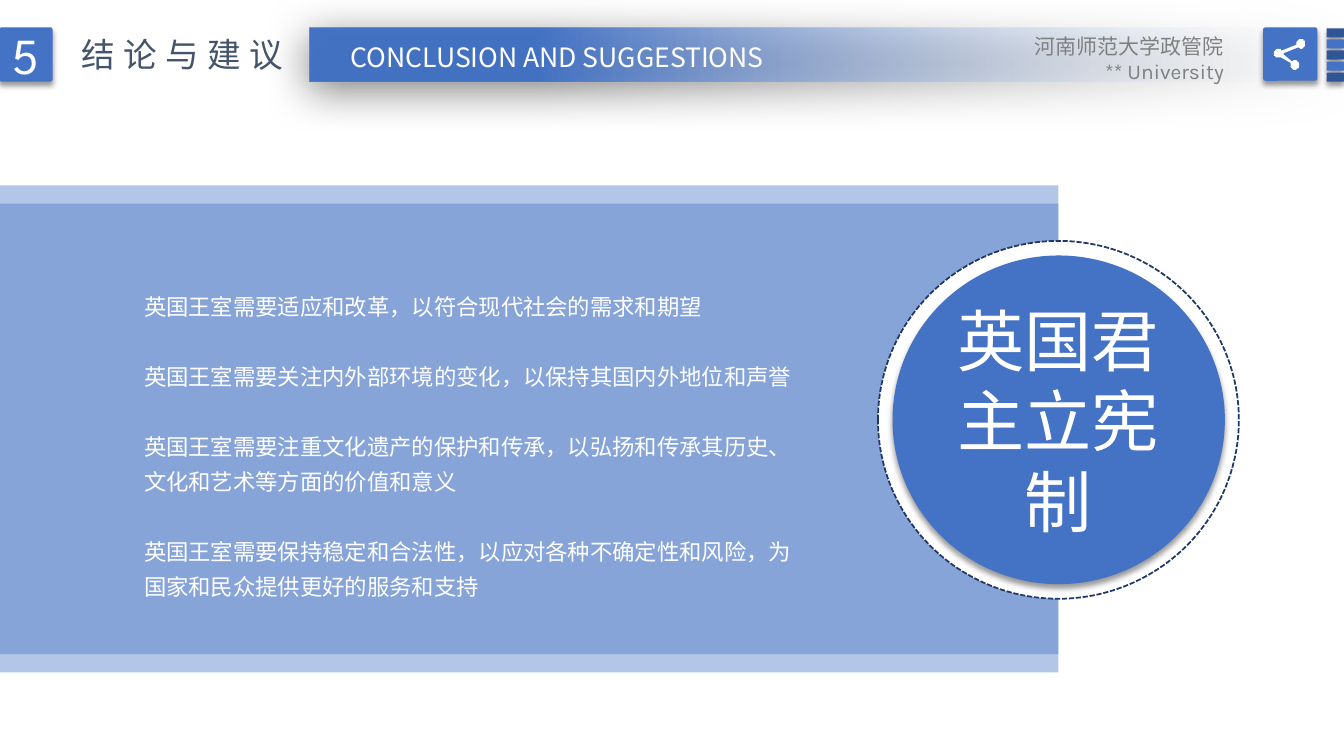
from math import asin, atan2, cos, pi, sin

from lxml import etree
from pptx import Presentation
from pptx.dml.color import RGBColor
from pptx.enum.dml import MSO_LINE_DASH_STYLE as Dash
from pptx.enum.shapes import MSO_SHAPE as Shape
from pptx.enum.text import MSO_ANCHOR as Anchor, PP_ALIGN as Align
from pptx.oxml.ns import qn
from pptx.util import Pt

BLUE = RGBColor(0x44, 0x72, 0xC4)
DARK_BLUE = RGBColor(0x2F, 0x55, 0x97)
NAVY = RGBColor(0x20, 0x38, 0x64)
SLATE = RGBColor(0x44, 0x54, 0x6A)
GREY = RGBColor(0x80, 0x80, 0x80)
PALE = RGBColor(0xF7, 0xFA, 0xFD)
WHITE = RGBColor(0xFF, 0xFF, 0xFF)
SANS = "Noto Sans CJK SC"

SUGGESTIONS = [
    "英国王室需要适应和改革，以符合现代社会的需求和期望",
    "英国王室需要关注内外部环境的变化，以保持其国内外地位和声誉",
    "英国王室需要注重文化遗产的保护和传承，以弘扬和传承其历史、文化和艺术等方面的价值和意义",
    "英国王室需要保持稳定和合法性，以应对各种不确定性和风险，为国家和民众提供更好的服务和支持",
]


def points(*lengths):
    return [Pt(length) for length in lengths]


def set_alpha(color_element, percent):
    etree.SubElement(color_element, qn("a:alpha")).set("val", str(percent * 1000))


def add_shadow(shape, alpha=40, blur=4, distance=3, angle=90):
    effects = shape._element.spPr.find(qn("a:effectLst"))
    shadow = etree.SubElement(
        effects, qn("a:outerShdw"), blurRad=str(Pt(blur)), dist=str(Pt(distance)),
        dir=str(angle * 60000), algn="ctr", rotWithShape="0")
    color = etree.SubElement(shadow, qn("a:srgbClr"), val="000000")
    set_alpha(color, alpha)


def add_block(shapes, kind, box, color, corner=None):
    """Add a flat, borderless preset shape."""
    block = shapes.add_shape(kind, *points(*box))
    block.shadow.inherit = False
    block.fill.solid()
    block.fill.fore_color.rgb = color
    block.line.fill.background()
    if corner is not None:
        block.adjustments[0] = corner
    return block


def add_tile(shapes, box, color):
    tile = add_block(shapes, Shape.ROUNDED_RECTANGLE, box, color, 0.05)
    add_shadow(tile)
    return tile


def style(para, size, color, font=SANS, align=Align.LEFT):
    para.alignment = align
    para.font.size = Pt(size)
    para.font.color.rgb = color
    para.font.name = font
    properties = para._p.pPr.find(qn("a:defRPr"))
    etree.SubElement(properties, qn("a:ea"), typeface=font)
    return properties


def add_text(shapes, box, lines, wrap=True):
    frame = shapes.add_textbox(*points(*box)).text_frame
    frame.word_wrap = wrap
    frame.text = "\n".join(lines)
    return frame.paragraphs


def add_panel(slide, left, top, width, height):
    """Two offset translucent bands with the suggestions on them."""
    for offset in (13, 0):
        band = add_block(slide.shapes, Shape.ROUNDED_RECTANGLE,
                         (left, top + offset, width, height), BLUE, 0)
        set_alpha(band._element.spPr.find(qn("a:solidFill"))[0], 40)
    paras = add_text(slide.shapes, (left + 95.8, top + 67.7, 480.2, 234), SUGGESTIONS)
    for index, para in enumerate(paras):
        para.line_spacing = 1.3
        if index:
            para.space_before = Pt(25)
        style(para, 16, WHITE)


def add_topic_circle(slide, left, top, width, height):
    shapes = slide.shapes.add_group_shape().shapes
    ring = add_block(shapes, Shape.OVAL, (left, top, width, height), WHITE)
    ring.line.color.rgb = NAVY
    ring.line.width = Pt(1.25)
    ring.line.dash_style = Dash.SQUARE_DOT
    disc = add_block(shapes, Shape.OVAL,
                     (left + 10.4, top + 10.4, width - 20.4, height - 20.8), BLUE)
    add_shadow(disc)
    para, = add_text(shapes, (left + 31, top + 38, 195.8, 240), ["英国君主立宪制"])
    style(para, 48, WHITE, align=Align.CENTER)


def add_share_icon(shapes, left, top):
    """Three dots joined by two links, drawn as one outline."""
    radius = 3.3
    upper, middle, lower = [(left + x, top + y) for x, y in
                            ((19, 3.3), (3.3, 10.1), (14.8, 18.3))]
    gap = asin(0.3)

    def toward(start, end):
        return atan2(end[1] - start[1], end[0] - start[0])

    def arc(center, start, end, steps=24):
        angles = [start + (end - start) * step / steps for step in range(steps + 1)]
        return [(center[0] + radius * cos(angle), center[1] + radius * sin(angle))
                for angle in angles]

    to_upper, to_lower = toward(middle, upper), toward(middle, lower)
    outline = []
    for center, start, end in (
            (upper, to_upper + pi, to_upper + 3 * pi),
            (middle, to_upper, to_lower),
            (lower, to_lower + pi, to_lower + 3 * pi),
            (middle, to_lower, to_upper + 2 * pi)):
        outline += arc(center, start + gap, end - gap)
    builder = shapes.build_freeform(*outline[0], scale=Pt(1))
    builder.add_line_segments(outline[1:], close=True)
    icon = builder.convert_to_shape()
    icon.shadow.inherit = False
    icon.fill.solid()
    icon.fill.fore_color.rgb = WHITE
    icon.line.fill.background()


def add_banner(slide, left, top, width, height):
    banner = add_block(slide.shapes, Shape.RECTANGLE, (left, top, width, height), BLUE)
    banner.fill.gradient()
    banner.fill.gradient_angle = 180
    for stop, position, color in zip(banner.fill.gradient_stops, (0, 0.78), (PALE, BLUE)):
        stop.position = position
        stop.color.rgb = color
    first_stop = banner._element.spPr.find(qn("a:gradFill")).find(qn("a:gsLst"))[0]
    set_alpha(first_stop[0], 0)
    add_shadow(banner, 50, 31, 6, 97)
    para, = add_text(slide.shapes, (left + 10.8, top + 5.9, 332.6, 30),
                     ["CONCLUSION AND SUGGESTIONS"], wrap=False)
    style(para, 19, WHITE, align=Align.CENTER)


def add_section_title(slide, left, top, width, height):
    badge = add_tile(slide.shapes, (left, top, 38.2, 38.9), BLUE)
    badge.text_frame.text = "5"
    badge.text_frame.vertical_anchor = Anchor.MIDDLE
    style(badge.text_frame.paragraphs[0], 36, WHITE, "League Spartan", Align.CENTER)

    title = slide.shapes.title
    title.left, title.top, title.width, title.height = points(
        left + 51.8, top + 1.4, width - 51.8, height - 2.9)
    frame = title.text_frame
    frame.text = "结论与建议"
    frame.word_wrap = False
    frame.vertical_anchor = Anchor.TOP
    para = frame.paragraphs[0]
    para.line_spacing = 1.0
    style(para, 24, SLATE).set("spc", "600")
    slide.shapes._spTree.append(title._element)


def add_school_mark(slide, left, top, width, height):
    shapes = slide.shapes.add_group_shape().shapes
    stripe_left = left + width - 12.4
    for index in range(5):
        add_tile(shapes, (stripe_left, top + 0.7 + 7.92 * index, 12.4, 6.5),
                 BLUE if index % 2 else DARK_BLUE)
    add_tile(shapes, (left + 171.4, top, 38.9, height), BLUE)
    add_share_icon(shapes, left + 179.3, top + 8.6)
    school, university = add_text(shapes, (left, top + 0.7, 170.6, 43.2),
                                  ["河南师范大学政管院", "** University"])
    school._p.get_or_add_pPr().set("marR", str(Pt(20)))
    style(school, 15, GREY, align=Align.RIGHT)
    style(university, 15, GREY, "Karla", Align.RIGHT)


def main():
    deck = Presentation()
    deck.slide_width, deck.slide_height = Pt(960), Pt(540)
    slide = deck.slides.add_slide(deck.slide_layouts[5])
    add_panel(slide, 0, 132.5, 756, 334.8)
    add_topic_circle(slide, 627.1, 172.1, 257.8, 255.6)
    add_banner(slide, 221, 19.8, 739, 38.2)
    add_section_title(slide, -0.5, 19.5, 211.5, 38.9)
    add_school_mark(slide, 730.8, 19.5, 229.2, 38.2)
    deck.save("out.pptx")


if __name__ == "__main__":
    main()
